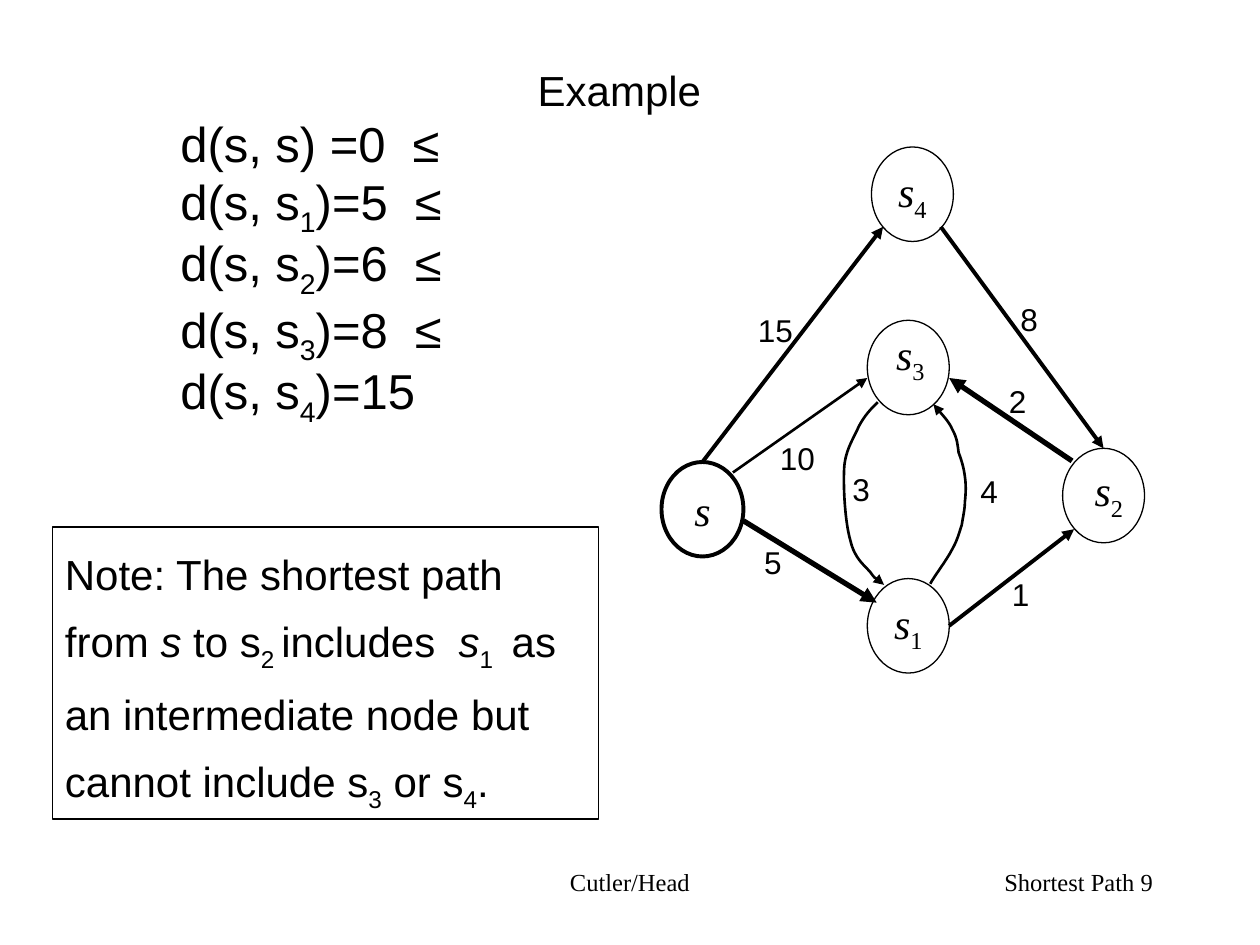
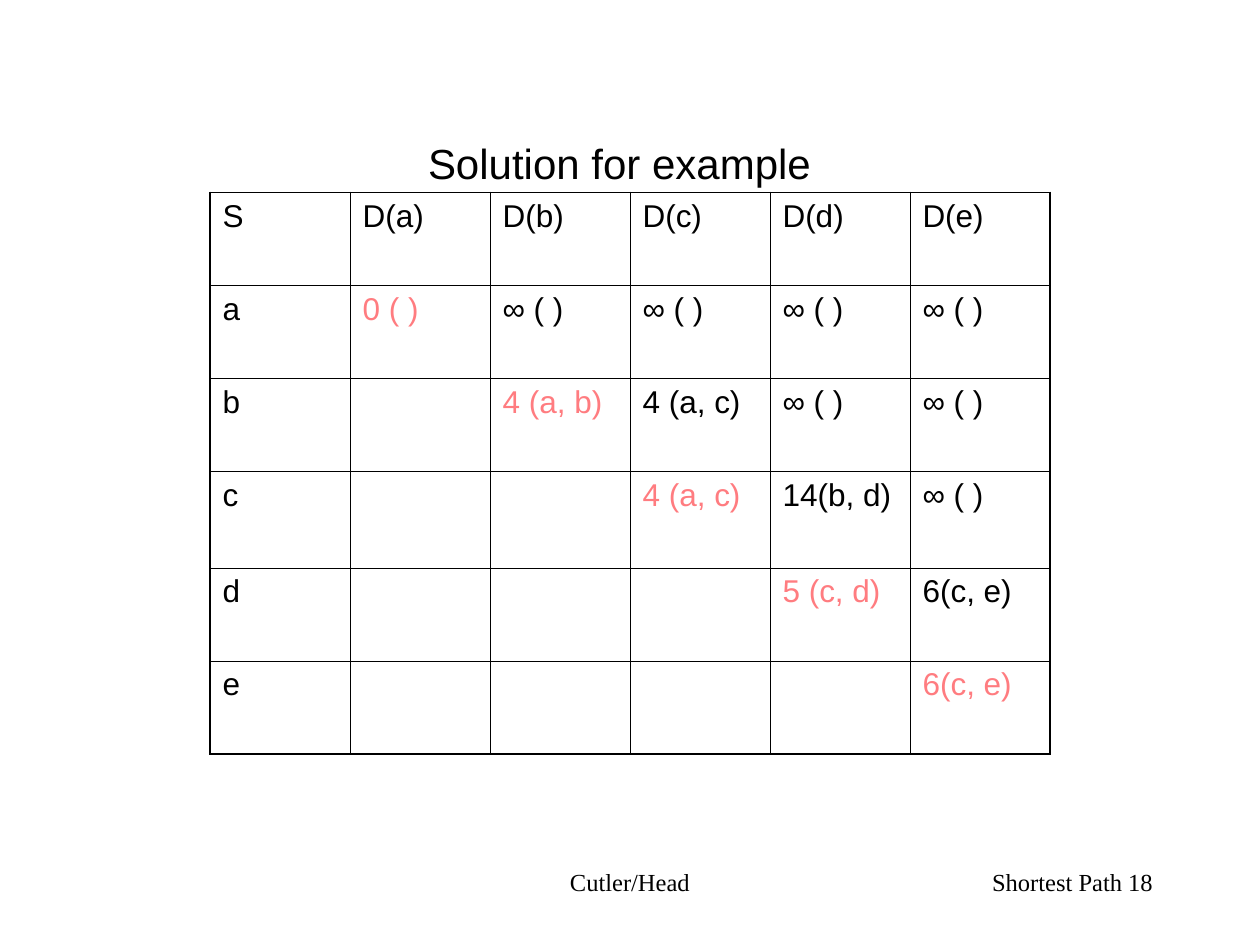
from lxml.etree import SubElement as sub
from pptx import Presentation
from pptx.dml.color import RGBColor as RGB
from pptx.enum.shapes import MSO_CONNECTOR as LINK, MSO_SHAPE as KIND
from pptx.enum.text import MSO_ANCHOR as ANCHOR, PP_ALIGN as ALIGN
from pptx.oxml.ns import qn
from pptx.util import Inches, Pt

INK = {"text": "000000", "pick": "FF7C80"}
SANS, SERIF = "Arial", "Times New Roman"

deck = Presentation()
deck.slide_width, deck.slide_height = Inches(10), Inches(7.5)
# All places are in grid units: 120 columns by 90 rows.
UNIT = deck.slide_width // 120


def put(page, place, lines, kind=None, size=24, font=SANS, align=ALIGN.LEFT,
        anchor=ANCHOR.MIDDLE, wrap=True):
    """Add a text box, or an unfilled shape of a kind; lines hold (text, style) runs."""
    spot = [round(n * UNIT) for n in place]
    if kind is None:
        shape = page.shapes.add_textbox(*spot)
    else:
        shape = page.shapes.add_shape(kind, *spot)
        shape.fill.background()
    frame = shape.text_frame
    frame.word_wrap, frame.vertical_anchor = wrap, anchor
    for n, runs in enumerate(lines):
        para = frame.add_paragraph() if n else frame.paragraphs[0]
        para.alignment = align
        for text, style in runs:
            run = para.add_run()
            run.text = text
            run.font.size, run.font.name = Pt(size), font
            run.font.color.rgb = RGB.from_string(INK["text"])
            run.font.italic = style == "it"
            if style == "low":
                run._r.get_or_add_rPr().set("baseline", "-25000")
    return shape


def ink(shape, weight, arrow=False):
    """Give a shape a plain outline without a shadow, and an arrowhead if asked."""
    shape.line.color.rgb = RGB.from_string(INK["text"])
    shape.line.width = Pt(weight)
    frame = shape._element.spPr
    if arrow:
        sub(frame.find(qn("a:ln")), qn("a:tailEnd"), type="triangle")
    sub(frame, qn("a:effectLst"))


pages = []
for title, top, high, num in (("Example", 3, 11, 9),
                              ("Solution for example", 8, 15, 18)):
    page = deck.slides.add_slide(deck.slide_layouts[6])
    pages.append(page)
    put(page, (8, top, 102, high), [[(title, "")]], align=ALIGN.CENTER)
    for place, text, align in (((41, 82, 38, 6), "Cutler/Head", ALIGN.CENTER),
                               ((86, 82, 25, 6), f"Shortest Path {num}", ALIGN.RIGHT)):
        put(page, place, [[(text, "")]], size=14, font=SERIF, align=align,
            anchor=ANCHOR.TOP)
graph, grid = pages

# Distances and note
dists = [[("d(s, s) =0  ≤", "")]]
for n, tail in enumerate((")=5  ≤", ")=6  ≤", ")=8  ≤", ")=15"), 1):
    dists.append([("d(s, s", ""), (str(n), "low"), (tail, "")])
box = put(graph, (16, 10.3, 30, 32), dists, size=28, anchor=ANCHOR.TOP)
for para, gap in zip(box.text_frame.paragraphs, (33, 38, 35, 38, 35)):
    para.line_spacing = Pt(gap)

note = [("Note: The shortest path from ", ""), ("s", "it"), (" to s", ""),
        ("2 ", "low"), ("includes  ", ""), ("s", "it"), ("1 ", "low"),
        (" as an intermediate node but cannot include s", ""), ("3", "low"),
        (" or s", ""), ("4", "low"), (".", "")]
box = put(graph, (5, 50.2, 52, 27.8), [note], KIND.RECTANGLE)
box.text_frame.paragraphs[0].line_spacing = 1.3
ink(box, 0.75)

# Nodes: left, top, outline, shift of the label
WIDE, HIGH = 7.8, 9
nodes = {"": (63, 44, 2.25, None), "1": (82.6, 55.1, 0.75, None),
         "2": (101.2, 42.7, 0.75, (0.5, -0.2)), "3": (82.6, 30.5, 0.75, (0.2, -1)),
         "4": (83, 14, 0.75, None)}
discs = {}
for name, (left, top, weight, shift) in nodes.items():
    label = [[("s", "it")] + ([(name, "low")] if name else [])]
    look = {"font": SERIF, "align": ALIGN.CENTER, "wrap": False}
    disc = put(graph, (left, top, WIDE, HIGH), [] if shift else label,
               KIND.OVAL, **look)
    ink(disc, weight)
    discs[name] = disc
    if shift:
        put(graph, (left + shift[0], top + shift[1], WIDE, HIGH), label, **look)

# Straight edges: ends, weight, nodes joined at their top
edges = [((70.8, 49.6, 83.5, 57.4), 3, None, None),
         ((69.8, 45, 82.6, 36), 1.5, None, None),
         ((102.1, 43.9, 90.4, 36), 3, None, None),
         ((89.6, 21.6, 105.1, 42.7), 2.25, None, "2"),
         ((66.9, 44, 84.1, 21.6), 2.25, "", None),
         ((90.4, 59.6, 102.3, 50.4), 2.25, None, None)]
for ends, weight, start, stop in edges:
    edge = graph.shapes.add_connector(LINK.STRAIGHT, *[round(n * UNIT) for n in ends])
    if start is not None:
        edge.begin_connect(discs[start], 0)
    if stop is not None:
        edge.end_connect(discs[stop], 0)
    ink(edge, weight, arrow=True)

# Curved edges: a start, then three points for each Bézier piece
curves = [
    [(83.6, 38.3), (82.9, 39), (82.4, 39.5), (81.8, 40.6),
     (81.4, 41.6), (80.5, 42.8), (80.4, 44.6), (80.3, 46.6), (80.5, 49.8), (81, 51.5),
     (81.4, 53.2), (82.3, 53.8), (82.9, 54.5), (83.4, 55.2), (84, 55.4), (84.2, 55.7)],
    [(88.6, 55.6), (88.9, 55), (90.2, 53.3), (90.7, 52.3),
     (91.2, 51.4), (91.3, 50.9), (91.6, 50), (91.7, 49.3), (91.9, 48.5), (91.9, 47.8),
     (92, 46.9), (92, 46.1), (91.9, 45.4), (91.8, 44.6), (91.6, 43.9), (91.3, 43.1),
     (91.2, 42.4), (91.2, 41.8), (90.7, 40.9), (90.4, 40.2), (89.3, 39), (88.9, 38.5)]]
for curve in curves:
    first, *rest = [(x * UNIT, y * UNIT) for x, y in curve]
    maker = graph.shapes.build_freeform(*first)
    maker.add_line_segments(rest, close=False)
    bow = maker.convert_to_shape()
    bow.fill.background()
    ink(bow, 1.5, arrow=True)
    steps = list(bow._element.iter(qn("a:lnTo")))
    for n in range(0, len(steps), 3):
        piece = sub(steps[0].getparent() if n == 0 else piece.getparent(),
                    qn("a:cubicBezTo"))
        for step in steps[n:n + 3]:
            piece.append(step[0])
            step.getparent().remove(step)

for cost, left, top in ((5, 71.6, 51.1), (10, 73.1, 41.2), (3, 80, 44.2),
                        (1, 95.2, 54.2), (4, 92.2, 44.4), (2, 94.9, 35.8),
                        (15, 71, 29), (8, 96, 28)):
    put(graph, (left, top, 4.1 if cost < 10 else 5.8, 4.8), [[(str(cost), "")]],
        size=18, anchor=ANCHOR.TOP, wrap=False)

# Solution table: the chosen distance lies on the diagonal
far = "∞ ( )"
rows = [["S", "D(a)", "D(b)", "D(c)", "D(d)", "D(e)"],
        ["a", "0 ( )", far, far, far, far],
        ["b", "", "4 (a, b)", "4 (a, c)", far, far],
        ["c", "", "", "4 (a, c)", "14(b, d)", far],
        ["d", "", "", "", "5 (c, d)", "6(c, e)"],
        ["e", "", "", "", "", "6(c, e)"]]
last = len(rows) - 1
spot = [round(n * UNIT) for n in (20, 18.33, 80, 53.5)]
table = grid.shapes.add_table(len(rows), len(rows), *spot).table
table.first_row = table.horz_banding = False
for r, row in enumerate(rows):
    table.rows[r].height = round((9.2 if r == 3 else 8.86) * UNIT)
    for c, text in enumerate(row):
        cell = table.cell(r, c)
        if text:
            run = cell.text_frame.paragraphs[0].add_run()
            run.text = text
            run.font.size, run.font.name = Pt(18), SANS
            hue = INK["pick" if r == c > 0 else "text"]
            run.font.color.rgb = RGB.from_string(hue)
        props = cell._tc.get_or_add_tcPr()
        for side, outer in (("L", c == 0), ("R", c == last),
                            ("T", r == 0), ("B", r == last)):
            rule = sub(props, qn(f"a:ln{side}"), w=str(Pt(1.08 if outer else 0.45)))
            sub(sub(rule, qn("a:solidFill")), qn("a:srgbClr"), val=INK["text"])
        cell.fill.background()

deck.save("out.pptx")
